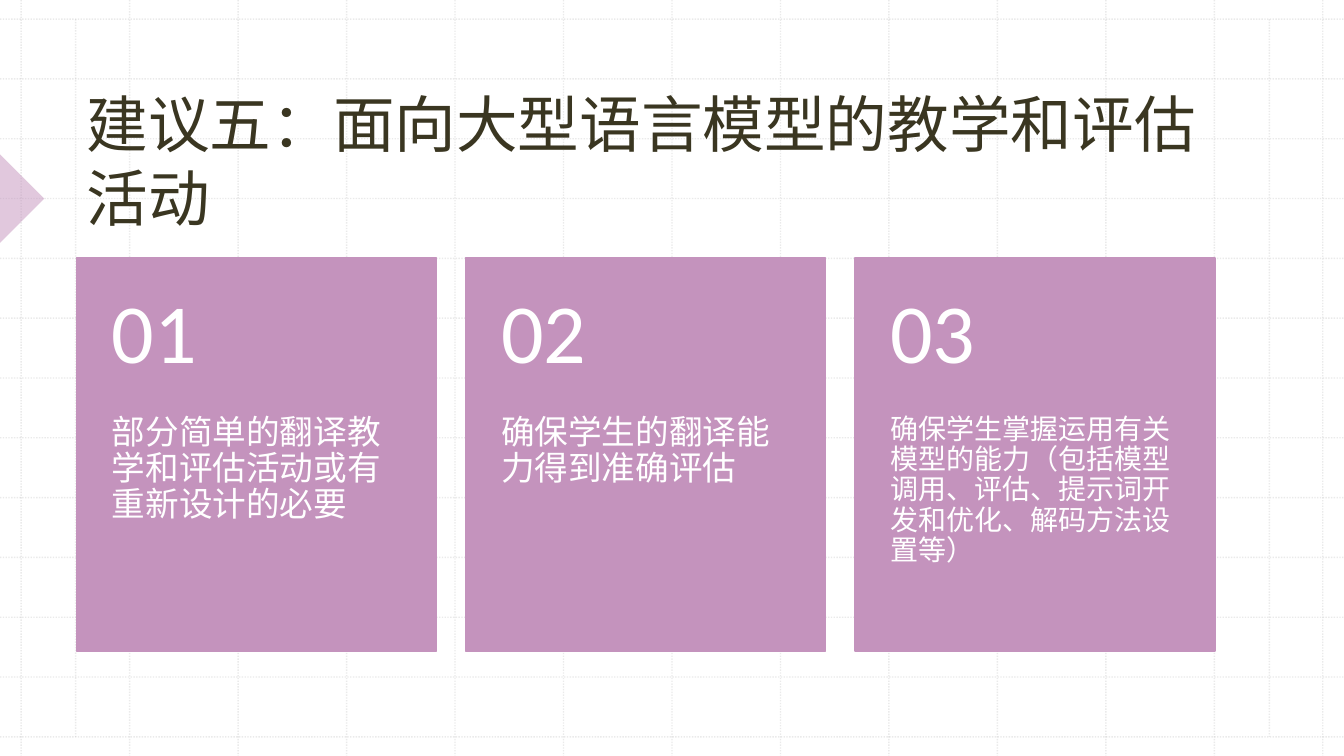
from lxml import etree
from pptx import Presentation
from pptx.dml.color import RGBColor
from pptx.enum.dml import MSO_LINE
from pptx.enum.shapes import MSO_CONNECTOR, MSO_SHAPE
from pptx.enum.text import MSO_ANCHOR, MSO_AUTO_SIZE, PP_ALIGN
from pptx.oxml.ns import qn
from pptx.util import Inches, Pt

STRAIGHT = MSO_CONNECTOR.STRAIGHT
RECT, TRIANGLE = MSO_SHAPE.RECTANGLE, MSO_SHAPE.RIGHT_TRIANGLE
TOP, MIDDLE, BOTTOM = MSO_ANCHOR.TOP, MSO_ANCHOR.MIDDLE, MSO_ANCHOR.BOTTOM
LEFT = PP_ALIGN.LEFT
DOTTED = MSO_LINE.ROUND_DOT
NO_FIT = MSO_AUTO_SIZE.NONE

WIDTH, HEIGHT = 13.33, 7.5


def rgb(value):
    return RGBColor.from_string(value)


def set_alpha(sp_pr, percent):
    color = sp_pr.find(qn("a:solidFill"))[0]
    etree.SubElement(color, qn("a:alpha")).set("val", str(percent * 1000))


class SlideBuilder:
    CJK, LATIN = "Noto Sans CJK TC", "Calibri"
    MAUVE, INK, WHITE, GRID = "C493BD", "3A3621", "FFFFFF", "BCBCBC"

    def __init__(self, slide):
        self.s = slide

    def fill_text(self, sp, text, size, color, font, anchor, insets, spacing):
        tf = sp.text_frame
        tf.word_wrap = True
        tf.auto_size = NO_FIT
        tf.vertical_anchor = anchor
        tf.margin_left, tf.margin_top, tf.margin_right, tf.margin_bottom = map(Inches, insets)
        p = tf.paragraphs[0]
        p.alignment = LEFT
        p.line_spacing = spacing
        r = p.add_run()
        r.text = text
        r.font.size = Pt(size)
        r.font.name = font
        r.font.color.rgb = rgb(color)

    def title(self, text, x, y, w, h):
        sp = self.s.shapes.title
        sp.left, sp.top, sp.width, sp.height = map(Inches, (x, y, w, h))
        self.fill_text(sp, text, 44, self.INK, self.CJK, BOTTOM, (0.1, 0.05, 0.1, 0.05), 1.0)
        # Bring the title in front of the grid
        self.s.shapes._spTree.append(sp._element)

    def text(self, text, x, y, w, h, size, font, anchor, insets):
        sp = self.s.shapes.add_textbox(*map(Inches, (x, y, w, h)))
        self.fill_text(sp, text, size, self.WHITE, font, anchor, insets, 0.9)

    def shape(self, kind, x, y, w, h):
        sp = self.s.shapes.add_shape(kind, *map(Inches, (x, y, w, h)))
        sp.shadow.inherit = False
        sp.fill.solid()
        sp.fill.fore_color.rgb = rgb(self.MAUVE)
        return sp

    def grid_line(self, x1, y1, x2, y2):
        c = self.s.shapes.add_connector(STRAIGHT, *map(Inches, (x1, y1, x2, y2)))
        c.line.color.rgb = rgb(self.GRID)
        c.line.width = Pt(1)
        c.line.dash_style = DOTTED
        sp_pr = c._element.spPr
        set_alpha(sp_pr.find(qn("a:ln")), 30)
        etree.SubElement(sp_pr, qn("a:effectLst"))

    def marker(self, x, y, side):
        sp = self.shape(TRIANGLE, x, y, side, side)
        sp.rotation = 225
        sp.line.fill.background()
        set_alpha(sp._element.spPr, 50)

    def card(self, number, text, size, font, x, y, w, h):
        sp = self.shape(RECT, x, y, w, h)
        sp.line.color.rgb = rgb(self.MAUVE)
        sp.line.width = Pt(1)
        head = 0.4 * h
        self.text(text, x, y + head, w, h - head, size, font, TOP, (0.35, 0, 0.35, 0.36))
        self.text(number, x, y, w, head, 60, self.LATIN, MIDDLE, (0.35, 0.18, 0.35, 0.18))


def main():
    prs = Presentation()
    prs.slide_width, prs.slide_height = Inches(WIDTH), Inches(HEIGHT)
    b = SlideBuilder(prs.slides.add_slide(prs.slide_layouts[5]))

    # Dotted background grid
    left, right, top, bottom, steps = 0.21, 13.12, 0.19, 7.31, 12
    for i in range(steps + 1):
        x = left + i * (right - left) / steps
        y = top + i * (bottom - top) / steps
        b.grid_line(x, 0, x, HEIGHT)
        b.grid_line(0, y, WIDTH, y)
    for x in (0.75, 12.59):
        b.grid_line(x, top, x, bottom)

    # Edge marker and title
    b.marker(-0.31, 1.66, 0.62)
    b.title("建议五：面向大型语言模型的教学和评估活动", 0.76, 0.79, 11.29, 1.58)

    # Numbered cards
    cards = [
        ("部分简单的翻译教学和评估活动或有重新设计的必要", 24, b.CJK),
        ("确保学生的翻译能力得到准确评估", 24, b.LATIN),
        ("确保学生掌握运用有关模型的能力（包括模型调用、评估、提示词开发和优化、解码方法设置等）",
         20, b.LATIN),
    ]
    card_w, gap = 3.57, 0.29
    for i, (text, size, font) in enumerate(cards):
        b.card(f"{i + 1:02}", text, size, font, 0.76 + i * (card_w + gap), 2.56, card_w, 3.9)

    prs.save("out.pptx")


if __name__ == "__main__":
    main()
